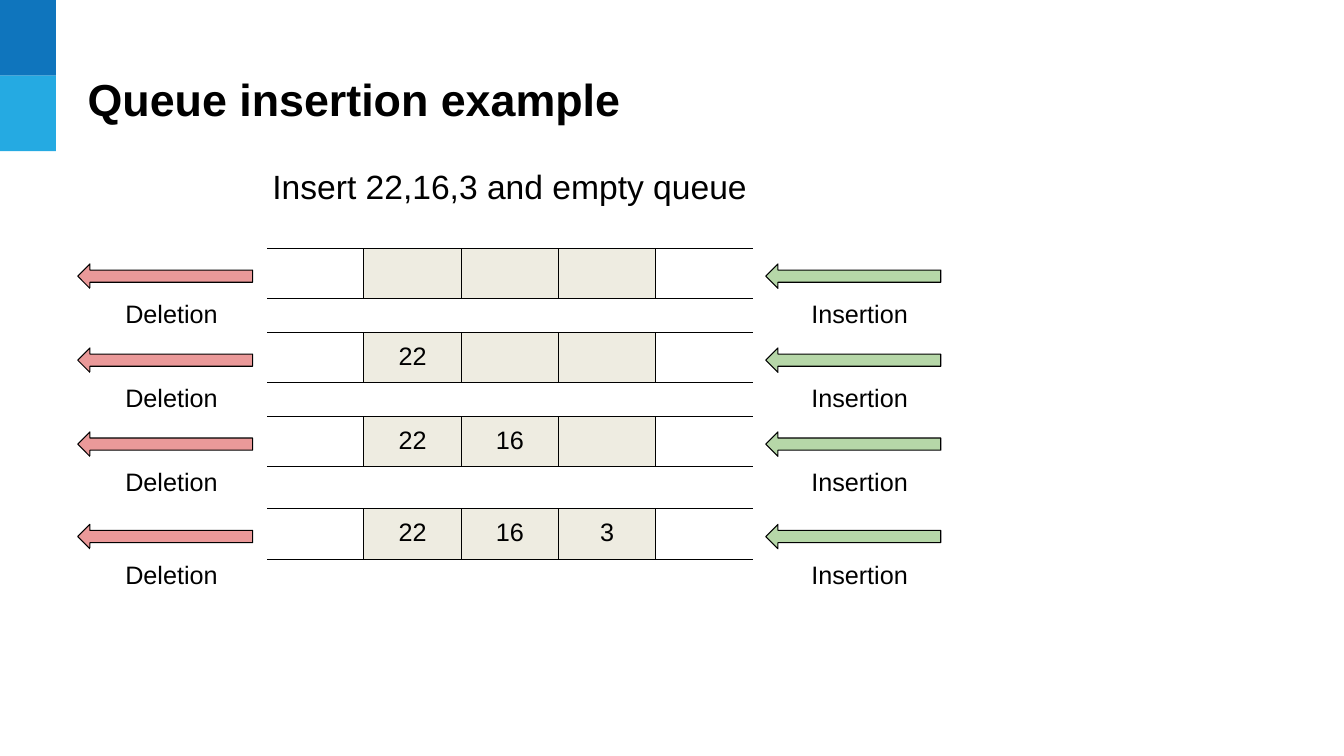
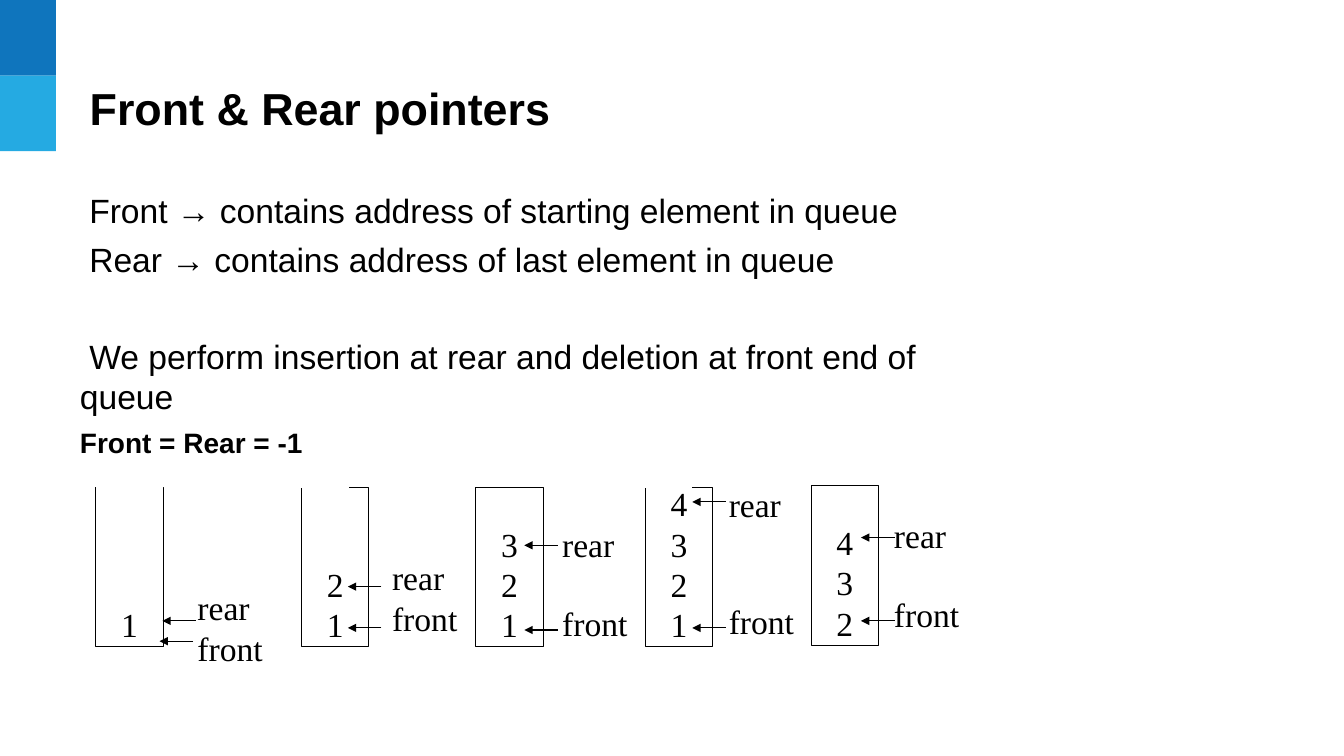
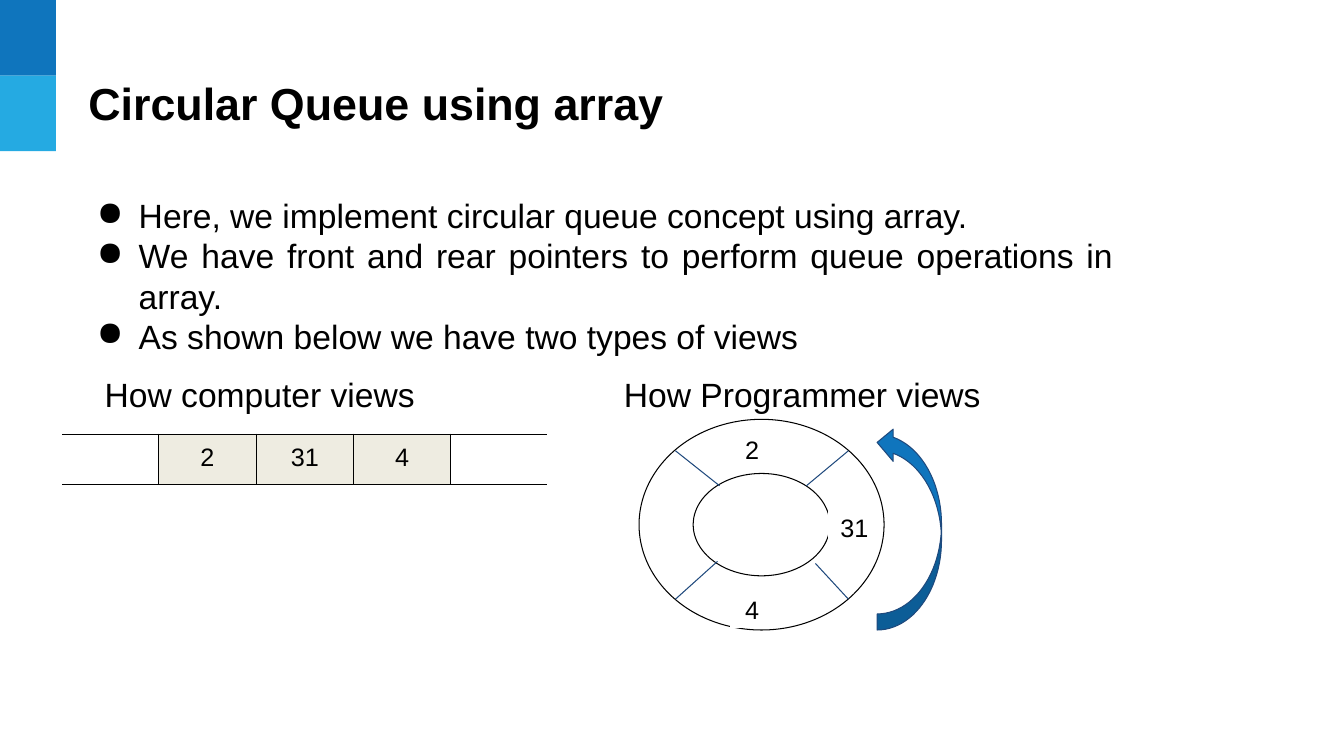
"""Builds three slides on queue insertion, queue pointers and circular queues."""
import dataclasses

import lxml.etree
import pptx
import pptx.dml.color
import pptx.enum.shapes
import pptx.enum.text
import pptx.oxml.ns
import pptx.util

Pt = pptx.util.Pt
Rgb = pptx.dml.color.RGBColor.from_string
qn = pptx.oxml.ns.qn
SHAPE = pptx.enum.shapes.MSO_SHAPE
ALIGN = pptx.enum.text.PP_ALIGN
ANCHOR = pptx.enum.text.MSO_ANCHOR


@dataclasses.dataclass(frozen=True)
class Theme:
    """Colours, fonts and type sizes of the deck."""
    black: str = "000000"
    white: str = "FFFFFF"
    band_dark: str = "0F75BD"
    band_light: str = "25AAE2"
    slot: str = "EEECE1"
    deletion: str = "EA9999"
    insertion: str = "B6D7A8"
    navy: str = "1F497D"
    sans: str = "Arial"
    serif: str = "Times New Roman"
    title: float = 32
    body: float = 24
    note: float = 20
    label: float = 18
    hairline: float = 0.75


theme = Theme()


def place(slide, kind, box, lines=(), size=theme.label, fill=None, line=None, font=theme.sans,
          align=ALIGN.CENTER, anchor=ANCHOR.MIDDLE, inset=3.6, bold=False):
    """Add a preset shape, or a text box when kind is None, with its paragraphs."""
    bounds = [Pt(length) for length in box]
    if kind is None:
        part = slide.shapes.add_textbox(*bounds)
    else:
        part = slide.shapes.add_shape(kind, *bounds)
        part.shadow.inherit = False
        part.fill.solid()
        part.fill.fore_color.rgb = Rgb(fill)
        if line:
            part.line.color.rgb = Rgb(line)
            part.line.width = Pt(theme.hairline)
        else:
            part.line.fill.background()
    frame = part.text_frame
    frame.word_wrap = True
    frame.vertical_anchor = anchor
    frame.margin_left = frame.margin_right = Pt(7.2)
    frame.margin_top = frame.margin_bottom = Pt(inset)
    if lines:
        frame.text = "\n".join(lines)
        for paragraph in frame.paragraphs:
            paragraph.alignment = align
            paragraph.font.name = font
            paragraph.font.size = Pt(size)
            paragraph.font.bold = bold
            paragraph.font.color.rgb = Rgb(theme.black)
    return part


def add_queue(slide, left, top, values):
    """Add a one-row queue whose three middle slots hold the values."""
    queue = slide.shapes.add_table(1, 5, Pt(left), Pt(top), Pt(5 * 69.5), Pt(36)).table
    queue.first_row = queue.horz_banding = False
    queue.rows[0].height = Pt(36)
    for index, value in enumerate(["", *values, *[""] * (4 - len(values))]):
        queue.columns[index].width = Pt(69.5)
        slot = queue.cell(0, index)
        slot.margin_left = slot.margin_right = slot.margin_top = slot.margin_bottom = Pt(7.2)
        slot.text = value
        paragraph = slot.text_frame.paragraphs[0]
        paragraph.alignment = ALIGN.CENTER
        paragraph.font.name = theme.sans
        paragraph.font.size = Pt(theme.label)
        paragraph.font.color.rgb = Rgb(theme.black)
        for side in "LRTB":
            is_open = (index, side) in ((0, "L"), (4, "R"))
            border = lxml.etree.SubElement(slot._tc.get_or_add_tcPr(), qn("a:ln" + side),
                                           w=str(int(Pt(theme.hairline))))
            solid = lxml.etree.SubElement(border, qn("a:solidFill"))
            lxml.etree.SubElement(solid, qn("a:srgbClr"), val=theme.white if is_open else theme.black)
        if 0 < index < 4:
            slot.fill.solid()
            slot.fill.fore_color.rgb = Rgb(theme.slot)
        else:
            slot.fill.background()


deck = pptx.Presentation()
deck.slide_width, deck.slide_height = Pt(960), Pt(540)
blank = deck.slide_layouts[6]
insertion, pointers, circular = [deck.slides.add_slide(blank) for _ in range(3)]

for band_top, band_color in ((0, theme.band_dark), (54, theme.band_light)):
    band = place(insertion, SHAPE.RECTANGLE, (0, band_top, 40, 54), fill=band_color)
    blank.shapes.element.append(band.element)

for slide, left, top, heading in (
    (insertion, 55.5, 38, "Queue insertion example"),
    (pointers, 57, 44, "Front & Rear pointers"),
    (circular, 56, 40.5, "Circular Queue using array"),
):
    place(slide, None, (left, top, 630, 65), [heading], theme.title, align=ALIGN.LEFT, bold=True)

place(insertion, None, (142, 111.5, 444, 44), ["Insert 22,16,3 and empty queue"], theme.body,
      anchor=ANCHOR.TOP, inset=7.2)
inserted = ["22", "16", "3"]
for count, top in enumerate((177.5, 237.5, 297.5, 363.5)):
    add_queue(insertion, 190.5, top, inserted[:count])
    for left, action, color in ((547, "Insertion", theme.insertion), (55.5, "Deletion", theme.deletion)):
        place(insertion, SHAPE.LEFT_ARROW, (left, top + 11, 125, 17.5), fill=color, line=theme.black)
        place(insertion, SHAPE.RECTANGLE, (left + 9.5, top + 28.5, 115, 36), [action],
              fill=theme.white, line=theme.white)

rules = place(pointers, None, (50, 132, 672, 138), [
    "Front → contains address of starting element in queue",
    "Rear → contains address of last element in queue",
    "We perform insertion at rear and deletion at front end of queue",
    "Front = Rear = -1",
], theme.body, align=ALIGN.LEFT, anchor=ANCHOR.TOP).text_frame.paragraphs
for rule, gap in zip(rules, (6.4, 6.4, 40.4, 6.4)):
    rule.space_before = Pt(gap)
for rule in rules[:3]:
    rule._p.get_or_add_pPr().set("indent", str(int(Pt(6.67))))
rules[3].font.size = Pt(theme.note)
rules[3].font.bold = True

connectors = []
serif_line = 27.6
for left, top, items, label_left, label_top, skipped, tips in (
    (68.5, 348, "1", 134, 416, 0, ((116, 443.5), (114, 458))),
    (215.5, 348, "21", 273, 394.5, 0, ((248.5, 419), (248.5, 448.5))),
    (340, 348, "321", 394.5, 371, 1, ((374.5, 389.5), (374.5, 450))),
    (461, 348, "4321", 513.5, 342, 2, ((494.5, 358.5), (494.5, 448.5))),
    (579.5, 347, "432", 631.5, 364.5, 1, ((615, 384), (615, 443.5))),
):
    stack = place(pointers, SHAPE.RECTANGLE, (left, top, 48, 114), list(items), theme.body, theme.white,
                  theme.black, theme.serif, anchor=ANCHOR.BOTTOM, inset=1.7)
    stack.text_frame.margin_top = 0
    ends = place(pointers, None, (label_left, label_top, 72, 65.5 + serif_line * skipped), ["rear", "front"],
                 theme.body, font=theme.serif, align=ALIGN.LEFT, anchor=ANCHOR.TOP)
    ends.text_frame.paragraphs[1].space_before = Pt(serif_line * skipped)
    connectors += [(pointers, (x + 24, y), (x, y), theme.black, True) for x, y in tips]
connectors += [(pointers, (x, 348), (x + 48, 348), theme.white, False) for x in (68.5, 201, 446.5)]

points = place(circular, None, (56, 132, 746, 131), [
    "Here, we implement circular queue concept using array.",
    "We have front and rear pointers to perform queue operations in array.",
    "As shown below we have two types of views",
], theme.body, align=ALIGN.JUSTIFY, anchor=ANCHOR.TOP, inset=7.2).text_frame.paragraphs
points[0].space_before = Pt(10)
for point in points:
    layout = point._p.get_or_add_pPr()
    layout.set("marL", str(int(Pt(36))))
    layout.set("indent", str(int(Pt(-30))))
    bullet = lxml.etree.Element(qn("a:buChar"), char="●")
    layout.find(qn("a:defRPr")).addprevious(bullet)

add_queue(circular, 44, 310, ["2", "31", "4"])
for left, width, view in ((65, 241, "How computer views"), (422.5, 301, "How Programmer views")):
    place(circular, SHAPE.RECTANGLE, (left, 263.5, width, 36), [view], theme.body, theme.white, theme.white)
ring = place(circular, SHAPE.DONUT, (456.5, 299.5, 175, 150.5), fill=theme.white, line=theme.black)
ring.adjustments[0] = 0.257
for box, value in (((521.5, 422, 31.5, 26.5), "4"), ((521.5, 308, 31.5, 26.5), "2"),
                   ((592, 364.5, 36.5, 25), "31")):
    place(circular, SHAPE.RECTANGLE, box, [value], fill=theme.white, line=theme.white, inset=0)
turn = place(circular, SHAPE.CURVED_LEFT_ARROW, (626.5, 304.5, 46, 145.5), fill=theme.band_dark,
             line=theme.navy)
turn.rotation = 180
turn.element.spPr.xfrm.set("flipH", "1")
connectors += [(circular, begin, end, theme.navy, False) for begin, end in (
    ((606, 322), (576, 347)), ((606, 428), (582.5, 402.5)),
    ((482.5, 428), (512.5, 401)), ((482.5, 322), (514, 347)))]

for slide, begin, end, color, has_head in connectors:
    connector = slide.shapes.add_connector(pptx.enum.shapes.MSO_CONNECTOR.STRAIGHT,
                                           *[Pt(length) for length in (*begin, *end)])
    connector.line.color.rgb = Rgb(color)
    connector.line.width = Pt(theme.hairline)
    if has_head:
        lxml.etree.SubElement(connector.line._get_or_add_ln(), qn("a:tailEnd"), type="triangle")
    lxml.etree.SubElement(connector.element.spPr, qn("a:effectLst"))

deck.save("out.pptx")
